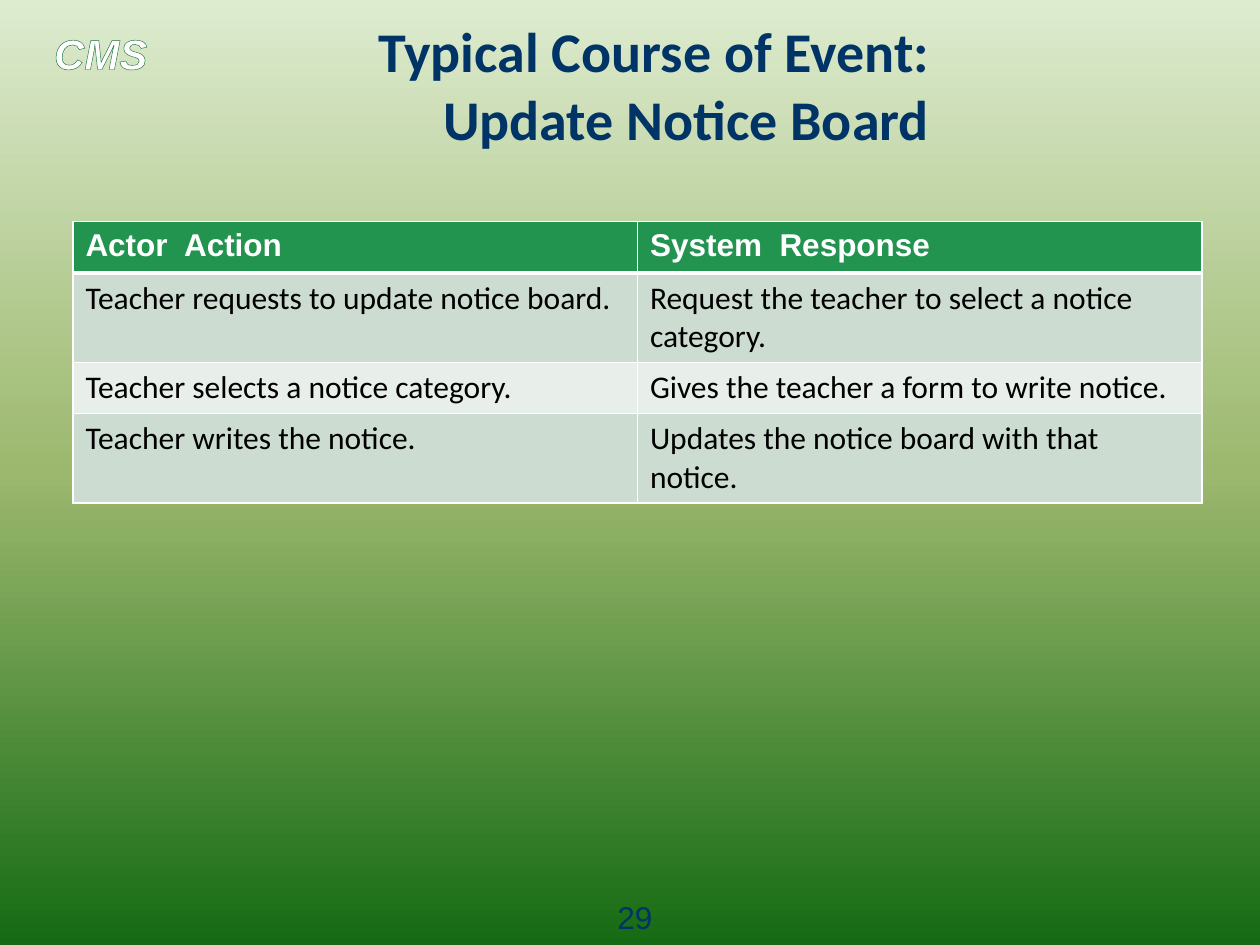
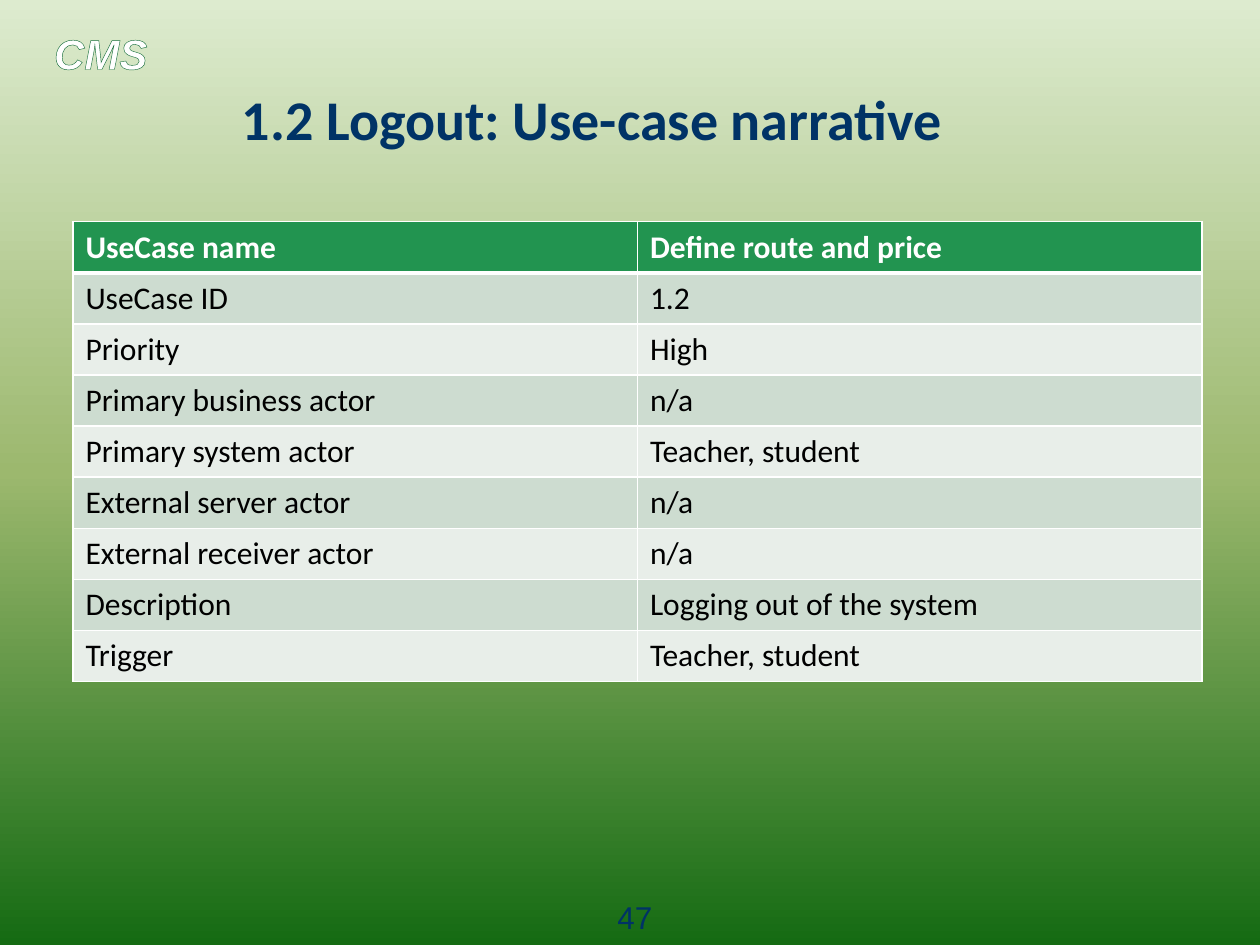
"""Build two use-case slides that share a green master."""
from copy import deepcopy
from dataclasses import dataclass

from lxml.etree import SubElement
from pptx import Presentation
from pptx.dml.color import RGBColor
from pptx.enum.text import MSO_ANCHOR, MSO_AUTO_SIZE, PP_ALIGN
from pptx.oxml.ns import qn
from pptx.util import Cm, Pt

WHITE = RGBColor(0xFF, 0xFF, 0xFF)
BLACK = RGBColor(0, 0, 0)
NAVY = RGBColor(0x00, 0x33, 0x66)
HEAD = RGBColor(0x22, 0x94, 0x50)
BANDS = (RGBColor(0xE8, 0xEE, 0xE9), RGBColor(0xCD, 0xDC, 0xD0))
EDGE = RGBColor(0x19, 0x6F, 0x3C)
STOPS = (
    (0, RGBColor(0xDD, 0xEB, 0xCF)),
    (0.5, RGBColor(0x9C, 0xB8, 0x6E)),
    (1, RGBColor(0x15, 0x6B, 0x13)),
)
LEFT = Cm(1.47)
ROW = Cm(1.03)
COLUMN = Cm(11.38)


@dataclass(frozen=True)
class Style:
    size: int
    face: str
    color: RGBColor
    bold: bool = False
    slant: bool = False


@dataclass(frozen=True)
class Page:
    title: str
    number: int
    face: str
    rows: tuple[tuple[str, str], ...]


TITLE = Style(32, "Calibri", NAVY, bold=True)
BODY = Style(18, "Calibri", BLACK)
NUMBER = Style(18, "Arial", NAVY)
BADGE = Style(24, "Arial", WHITE, bold=True, slant=True)

PAGES = (
    Page("Typical Course of Event: \vUpdate Notice Board ", 29, "Arial", (
        ("Actor  Action", "System  Response"),
        ("Teacher requests to update notice board.",
         "Request the teacher to select a notice\ncategory."),
        ("Teacher selects a notice category.",
         "Gives the teacher a form to write notice."),
        ("Teacher writes the notice.",
         "Updates the notice board with that\nnotice."),
    )),
    Page("1.2 Logout: Use-case narrative", 47, "Calibri", (
        ("UseCase name", "Define route and price"),
        ("UseCase ID", "1.2"),
        ("Priority", "High"),
        ("Primary business actor", "n/a"),
        ("Primary system actor", "Teacher, student"),
        ("External server actor", "n/a"),
        ("External receiver actor", "n/a"),
        ("Description", "Logging out of the system"),
        ("Trigger", "Teacher, student"),
    )),
)


def write(frame, text: str, style: Style, align=PP_ALIGN.LEFT) -> None:
    frame.text = text
    for para in frame.paragraphs:
        para.alignment = align
        for run in para.runs:
            font = run.font
            font.size, font.name = Pt(style.size), style.face
            font.bold, font.italic = style.bold, style.slant
            font.color.rgb = style.color


def add_line(parent, tag: str, width: int, color: RGBColor):
    line = SubElement(parent, qn(tag), w=str(Pt(width)))
    fill = SubElement(line, qn("a:solidFill"))
    SubElement(fill, qn("a:srgbClr"), val=str(color))
    return line


def add_label(slide, box: tuple, text: str, style: Style, align=PP_ALIGN.LEFT):
    label = slide.shapes.add_textbox(*map(Cm, box))
    label.text_frame.word_wrap = True
    write(label.text_frame, text, style, align)
    return label


def paint_master(master) -> None:
    fill = master.background.fill
    fill.gradient()
    fill.gradient_angle = 270
    stops = next(master.element.cSld.iter(qn("a:gsLst")))
    stops.insert(1, deepcopy(stops[0]))
    for stop, (place, color) in zip(fill.gradient_stops, STOPS):
        stop.position = place
        stop.color.rgb = color


def add_badge(slide, master) -> None:
    badge = add_label(slide, (0.84, 0.43, 3.81, 1.27), "CMS", BADGE)
    props = next(badge.element.iter(qn("a:rPr")))
    props.insert(0, add_line(props, "a:ln", 1, EDGE))
    master.shapes.element.append(badge.element)


def add_title(slide, text: str) -> None:
    title = slide.shapes.title
    title.left, title.top = LEFT, Cm(1.7)
    title.width, title.height = Cm(17.78), Cm(1.35)
    frame = title.text_frame
    write(frame, text, TITLE, PP_ALIGN.RIGHT)
    frame.auto_size = MSO_AUTO_SIZE.NONE
    frame.vertical_anchor = MSO_ANCHOR.BOTTOM
    frame.margin_bottom = 0


def add_grid(slide, page: Page) -> None:
    count = len(page.rows)
    grid = slide.shapes.add_table(
        count, 2, LEFT, Cm(4.47), 2 * COLUMN, count * ROW).table
    head = Style(18, page.face, WHITE, bold=True)
    for row, texts in enumerate(page.rows):
        grid.rows[row].height = ROW
        edges = {"L": 1, "R": 1, "T": 3 if row == 1 else 1,
                 "B": 1 if row else 3}
        for cell, text in zip(grid.rows[row].cells, texts):
            write(cell.text_frame, text, BODY if row else head)
            props = cell._tc.get_or_add_tcPr()
            for side, width in edges.items():
                add_line(props, f"a:ln{side}", width, WHITE)
            cell.fill.solid()
            cell.fill.fore_color.rgb = BANDS[row % 2] if row else HEAD


def main() -> None:
    deck = Presentation()
    deck.slide_width, deck.slide_height = Cm(25.4), Cm(19.05)
    master = deck.slide_master
    paint_master(master)
    for page in PAGES:
        slide = deck.slides.add_slide(deck.slide_layouts[5])
        add_title(slide, page.title)
        add_grid(slide, page)
        add_label(slide, (11.63, 17.98, 2.34, 0.74), str(page.number),
                  NUMBER, PP_ALIGN.CENTER)
    add_badge(deck.slides[0], master)
    deck.save("out.pptx")


if __name__ == "__main__":
    main()
